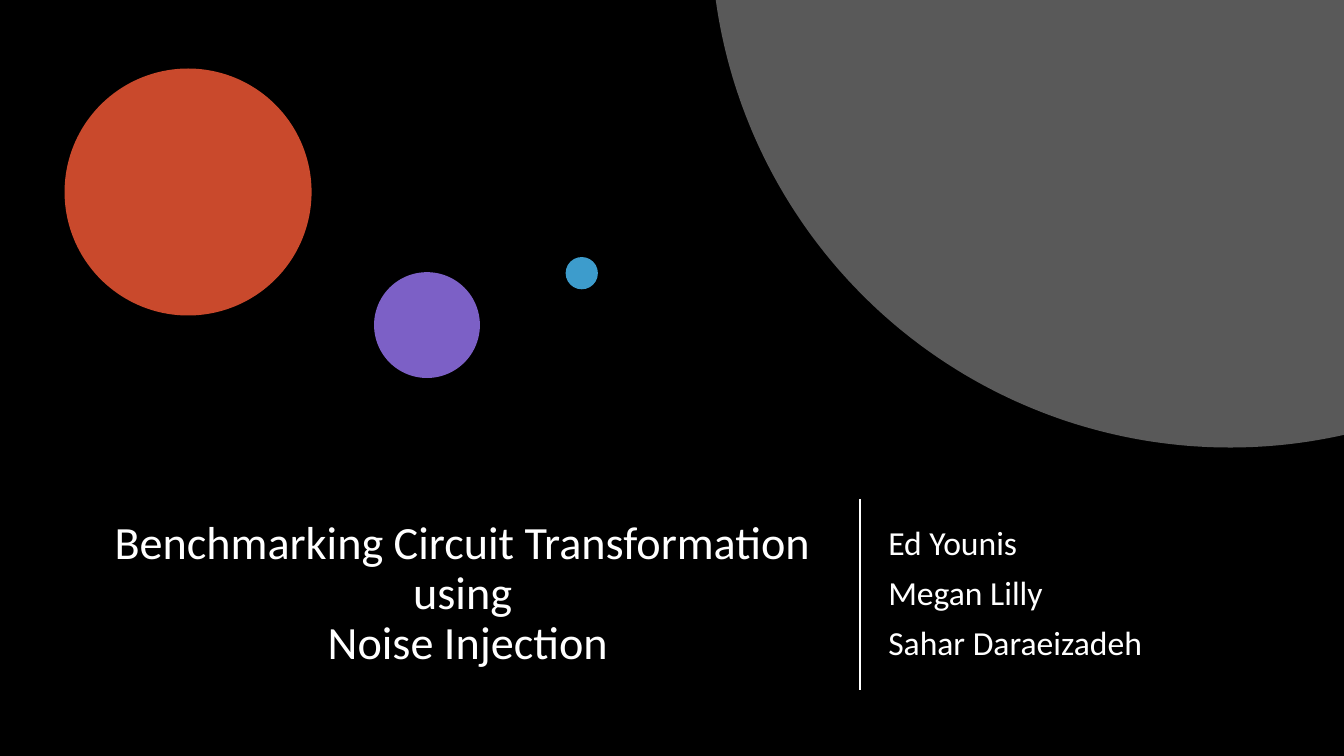
from dataclasses import dataclass
from math import acos, asin, cos, pi, sin

from lxml.etree import SubElement
from pptx import Presentation
from pptx.dml.color import RGBColor
from pptx.enum.shapes import MSO_CONNECTOR, MSO_SHAPE
from pptx.enum.text import MSO_ANCHOR, MSO_AUTO_SIZE, PP_ALIGN
from pptx.oxml.ns import qn
from pptx.util import Pt

PX = 9144  # 100 px to the inch
SLIDE_WIDTH, SLIDE_HEIGHT = 1333, 750


@dataclass(frozen=True)
class Theme:
    font: str = "Calibri"
    title_size: int = 33
    author_size: int = 24
    space: RGBColor = RGBColor(0x00, 0x00, 0x00)
    text: RGBColor = RGBColor(0xFF, 0xFF, 0xFF)
    red: RGBColor = RGBColor(0xC9, 0x49, 0x2C)
    purple: RGBColor = RGBColor(0x7C, 0x60, 0xC6)
    blue: RGBColor = RGBColor(0x3D, 0x9C, 0xCC)
    gray: RGBColor = RGBColor(0x59, 0x59, 0x59)


THEME = Theme()


def put_text(holder, box, paragraphs, *, size, align, before=0):
    holder.left, holder.top, holder.width, holder.height = (n * PX for n in box)
    frame = holder.text_frame
    frame.text = "\n".join(paragraphs)
    frame.word_wrap = True
    frame.auto_size = MSO_AUTO_SIZE.NONE
    frame.vertical_anchor = MSO_ANCHOR.MIDDLE
    for para in frame.paragraphs:
        para.alignment = align
        para.line_spacing = 0.9
        para.space_before = Pt(before)
        for span in para.runs:
            span.font.name = THEME.font
            span.font.size = Pt(size)
            span.font.color.rgb = THEME.text


def paint(shape, color):
    shape.shadow.inherit = False
    shape.fill.solid()
    shape.fill.fore_color.rgb = color
    shape.line.fill.background()


def add_planets(page, box):
    left, top, _, _ = box
    for x, y, diameter, color in (
        (64, 68, 245, THEME.red),
        (371, 270, 105, THEME.purple),
        (561, 255, 32, THEME.blue),
    ):
        planet = page.shapes.add_shape(
            MSO_SHAPE.OVAL, (left + x) * PX, (top + y) * PX, diameter * PX, diameter * PX
        )
        paint(planet, color)


def add_giant(page, box):
    """Draw the part of a large disc that lies within the box."""
    left, top, width, height = box
    radius = 515
    center_x, center_y = left + 510, top + height - radius
    start = acos((left + width - center_x) / radius)
    end = pi - asin((top - center_y) / radius)
    steps = 120
    angles = [start + (end - start) * i / steps for i in range(steps + 1)]
    arc = [
        (round((center_x + radius * cos(a)) * PX), round((center_y + radius * sin(a)) * PX))
        for a in angles
    ]
    builder = page.shapes.build_freeform((left + width) * PX, top * PX, scale=1.0)
    builder.add_line_segments(arc, close=True)
    paint(builder.convert_to_shape(), THEME.gray)


def add_caption(page, box):
    left, top, width, height = box
    title, authors = page.placeholders
    put_text(
        title,
        (left, top, 744, height),
        ["Benchmarking Circuit Transformation \vusing \vNoise Injection"],
        size=THEME.title_size,
        align=PP_ALIGN.CENTER,
    )
    put_text(
        authors,
        (left + 779, top, width - 779, height),
        ["Ed Younis", "Megan Lilly", "Sahar Daraeizadeh"],
        size=THEME.author_size,
        align=PP_ALIGN.LEFT,
        before=10,
    )
    divider_x = (left + 761) * PX
    divider = page.shapes.add_connector(
        MSO_CONNECTOR.STRAIGHT, divider_x, top * PX, divider_x, (top + height) * PX
    )
    divider.line.color.rgb = THEME.text
    divider.line.width = Pt(1.5)
    SubElement(divider._element.spPr, qn("a:effectLst"))


def add_title_slide(deck):
    page = deck.slides.add_slide(deck.slide_layouts[0])
    page.background.fill.solid()
    page.background.fill.fore_color.rgb = THEME.space
    add_planets(page, (0, 0, 710, 444))
    add_giant(page, (710, 0, SLIDE_WIDTH - 710, 444))
    add_caption(page, (92, 495, 1135, 190))


def main():
    deck = Presentation()
    deck.slide_width, deck.slide_height = SLIDE_WIDTH * PX, SLIDE_HEIGHT * PX
    add_title_slide(deck)
    deck.save("out.pptx")


if __name__ == "__main__":
    main()
